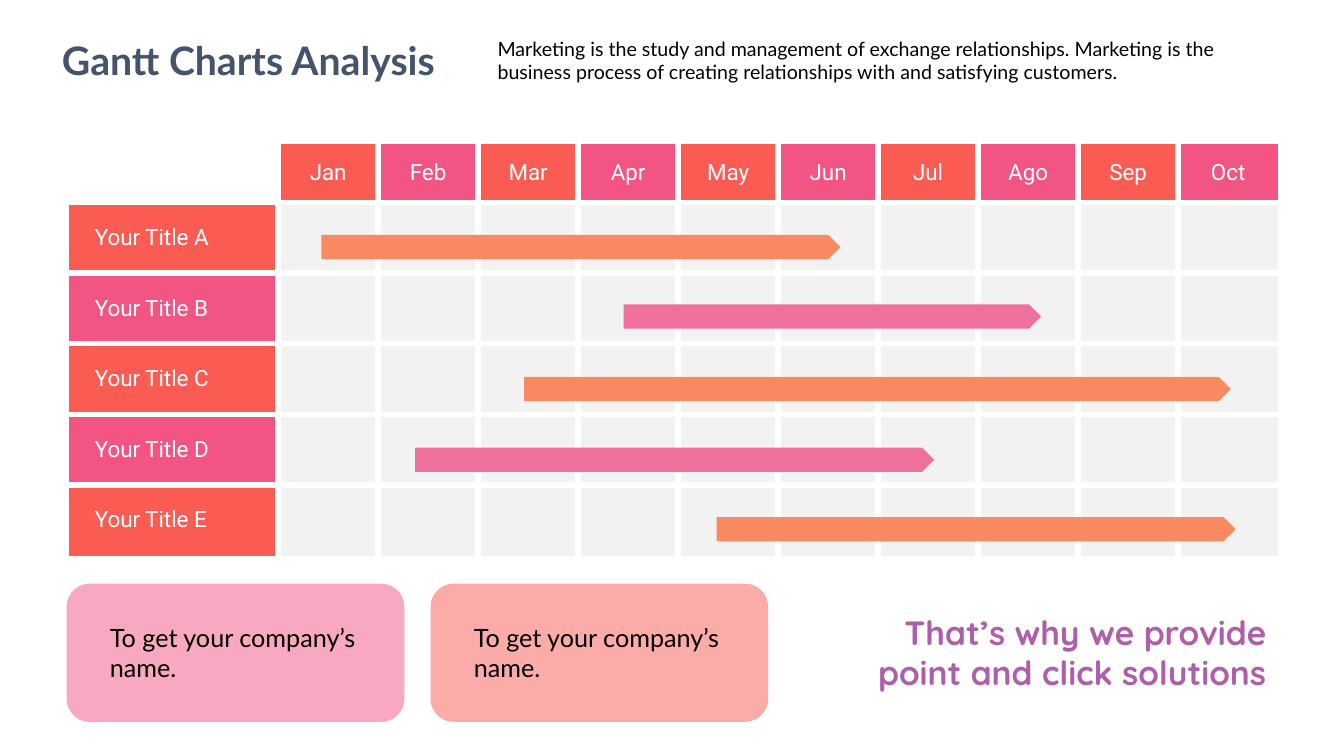
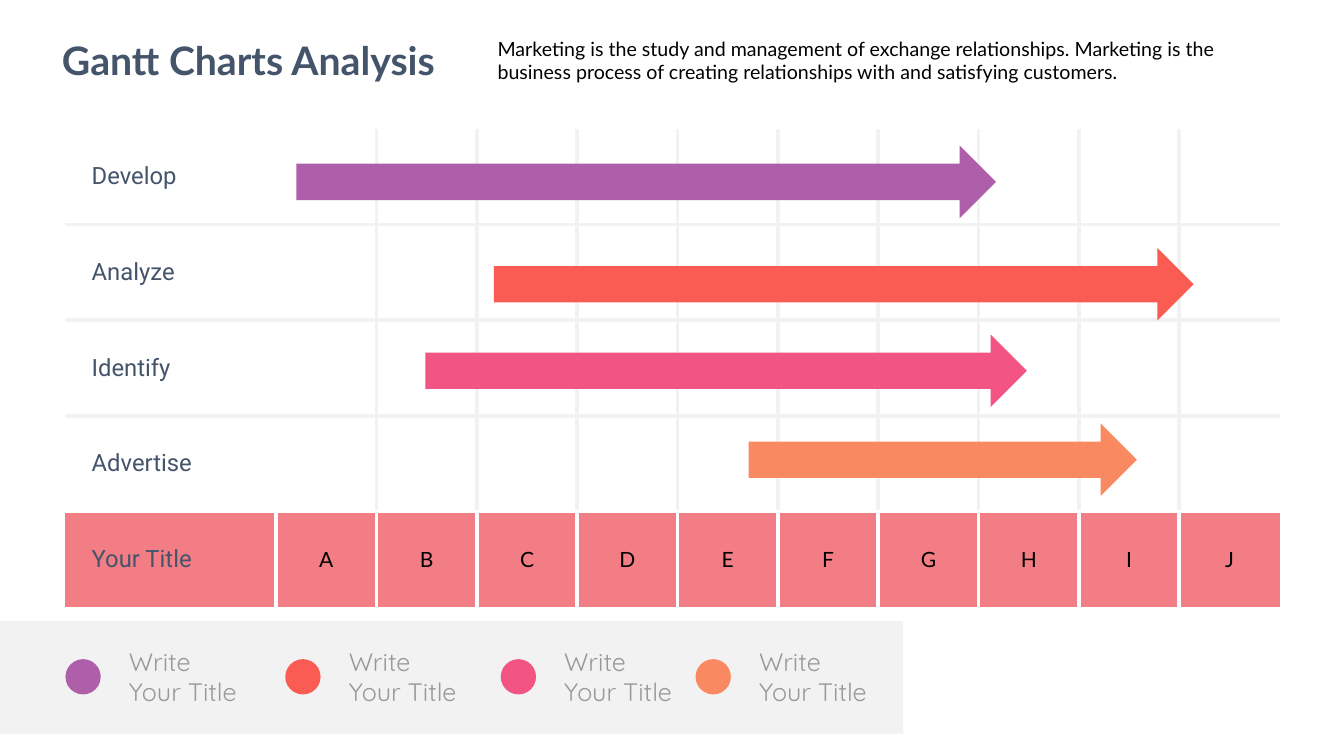
"""Build two Gantt chart slides that share one style."""
from lxml import etree
from pptx import Presentation
from pptx.dml.color import RGBColor
from pptx.enum.shapes import MSO_SHAPE
from pptx.enum.text import MSO_ANCHOR, PP_ALIGN
from pptx.oxml.ns import qn
from pptx.util import Cm, Pt

LEFT, CENTER, RIGHT = PP_ALIGN.LEFT, PP_ALIGN.CENTER, PP_ALIGN.RIGHT
MIDDLE = MSO_ANCHOR.MIDDLE
RECTANGLE, ROUNDED = MSO_SHAPE.RECTANGLE, MSO_SHAPE.ROUNDED_RECTANGLE
OVAL, PENTAGON, ARROW = MSO_SHAPE.OVAL, MSO_SHAPE.PENTAGON, MSO_SHAPE.RIGHT_ARROW

WHITE, BLACK, SLATE, PALE, GREY = "FFFFFF", "000000", "44546A", "F2F2F2", "999999"
RED, PINK, ORANGE, PURPLE = "FA5B52", "F25484", "F88960", "AF5FAA"
ROSE, SALMON = "EF709D", "F27D84"

TITLE = ("Lato", 28, SLATE, True)
INTRO = ("Lato", 14, BLACK, False)
CARD = ("Lato", 18, BLACK, False)
SLOGAN = ("Quicksand", 24, PURPLE, True)
LEGEND = ("Quicksand", 18, GREY, False)
MONTH = ("Roboto", 16, WHITE, False)
STAGE = ("Roboto", 17, SLATE, False)
LETTER = ("Lato", 15, BLACK, False)
NARROW, WIDE = (0.25, 0.13), (0.61, 0.3)


def rgb(color):
    return RGBColor.from_string(color)


class Deck:
    """Hold the shared style and the current slide."""

    def __init__(self):
        self.presentation = Presentation()
        self.presentation.slide_width = Cm(33.87)
        self.presentation.slide_height = Cm(19.05)
        self.slide = None

    def new_slide(self):
        self.slide = self.presentation.slides.add_slide(self.presentation.slide_layouts[6])

    def heading(self):
        self.text("Gantt Charts Analysis", TITLE, 0.99, 0.79, 10.54, 1.45,
                  align=CENTER, wrap=False)
        self.text("Marketing is the study and management of exchange relationships. "
                  "Marketing is the business process of creating relationships with "
                  "and satisfying customers.", INTRO, 12.29, 0.79, 19.86, 1.45)

    def add_text(self, paragraph, text, style, align=LEFT):
        font, size, color, bold = style
        paragraph.alignment = align
        run = paragraph.add_run()
        run.text = text
        run.font.name = font
        run.font.size = Pt(size)
        run.font.bold = bold
        run.font.color.rgb = rgb(color)

    def text(self, text, style, left, top, width, height,
             align=LEFT, insets=NARROW, wrap=True):
        box = self.slide.shapes.add_textbox(Cm(left), Cm(top), Cm(width), Cm(height))
        frame = box.text_frame
        frame.word_wrap = wrap
        frame.margin_left = frame.margin_right = Cm(insets[0])
        frame.margin_top = frame.margin_bottom = Cm(insets[1])
        self.add_text(frame.paragraphs[0], text, style, align)

    def shape(self, kind, color, left, top, width, height, opacity=100):
        shape = self.slide.shapes.add_shape(kind, Cm(left), Cm(top), Cm(width), Cm(height))
        shape.shadow.inherit = False
        shape.line.fill.background()
        shape.fill.solid()
        shape.fill.fore_color.rgb = rgb(color)
        if opacity < 100:
            solid = shape.element.spPr.find(qn("a:solidFill"))
            alpha = etree.SubElement(solid[0], qn("a:alpha"))
            alpha.set("val", str(opacity * 1000))

    def border(self, cell, side, color, width):
        line = etree.SubElement(cell._tc.get_or_add_tcPr(), qn(f"a:ln{side}"))
        if color is None:
            etree.SubElement(line, qn("a:noFill"))
            return
        line.set("w", str(Pt(width)))
        solid = etree.SubElement(line, qn("a:solidFill"))
        etree.SubElement(solid, qn("a:srgbClr")).set("val", color)

    def table(self, left, top, widths, heights, cells, line_color, line_width):
        frame = self.slide.shapes.add_table(
            len(heights), len(widths), Cm(left), Cm(top), Cm(sum(widths)), Cm(sum(heights)))
        table = frame.table
        table.first_row = table.horz_banding = False
        for column, width in zip(table.columns, widths):
            column.width = Cm(width)
        for row, height in zip(table.rows, heights):
            row.height = Cm(height)

        def edge_color(row, column, next_row, next_column):
            if not (0 <= next_row < len(heights) and 0 <= next_column < len(widths)):
                return None
            fills = {cells[row][column][2], cells[next_row][next_column][2]}
            beside_label = {column, next_column} == {0, 1}
            return line_color if fills == {WHITE} and not beside_label else WHITE

        for row, contents in enumerate(cells):
            for column, (text, style, fill) in enumerate(contents):
                cell = table.cell(row, column)
                cell.vertical_anchor = MIDDLE
                cell.margin_left = Cm(0.13 if column else 0.66)
                cell.margin_right = Cm(0.13)
                cell.margin_top = cell.margin_bottom = Cm(0.08)
                for side, down, across in (("L", 0, -1), ("R", 0, 1), ("T", -1, 0), ("B", 1, 0)):
                    color = edge_color(row, column, row + down, column + across)
                    self.border(cell, side, color, line_width)
                cell.fill.solid()
                cell.fill.fore_color.rgb = rgb(fill)
                if text:
                    self.add_text(cell.text_frame.paragraphs[0], text, style,
                                  CENTER if column else LEFT)


def month_slide(deck):
    deck.new_slide()
    cards = ((1.68, PINK), (10.85, RED))
    for left, color in cards:
        deck.shape(ROUNDED, color, left, 14.71, 8.51, 3.48, opacity=50)
    deck.heading()

    months = "Jan Feb Mar Apr May Jun Jul Ago Sep Oct".split()
    accents = (RED, PINK)
    cells = [[("", MONTH, WHITE)] + [
        (month, MONTH, accents[index % 2]) for index, month in enumerate(months)]]
    for index, letter in enumerate("ABCDE"):
        label = (f"Your Title {letter}", MONTH, accents[index % 2])
        cells.append([label] + [("", MONTH, PALE)] * len(months))
    deck.table(1.73, 3.63, [5.28] + [2.52] * 10, [1.47] + [1.78] * 5, cells, WHITE, 4.5)

    bars = ((8.1, 5.92, 13.08), (15.72, 7.67, 10.52), (13.21, 9.5, 17.81),
            (10.46, 11.28, 13.08), (18.06, 13.03, 13.08))
    for index, (left, top, width) in enumerate(bars):
        deck.shape(PENTAGON, (ORANGE, ROSE)[index % 2], left, top, width, 0.61)

    for left, _ in cards:
        deck.text("To get your company’s name.", CARD, left + 0.48, 15.37, 7.57, 2.16,
                  insets=WIDE)
    deck.text("That’s why we provide point and click solutions", SLOGAN,
              20.68, 15.29, 11.48, 2.31, align=RIGHT)


def stage_slide(deck):
    deck.new_slide()
    deck.shape(RECTANGLE, PALE, 0, 15.65, 22.76, 2.84)
    deck.heading()

    letters = "ABCDEFGHIJ"
    cells = [[(stage, STAGE, WHITE)] + [("", STAGE, WHITE)] * len(letters)
             for stage in ("Develop", "Analyze", "Identify", "Advertise")]
    cells.append([("Your Title", STAGE, SALMON)] + [
        (letter, LETTER, SALMON) for letter in letters])
    deck.table(1.65, 3.25, [5.31] + [2.53] * 10, [2.41] * 5, cells, PALE, 3)

    arrows = ((PURPLE, 7.47, 3.67, 17.63), (RED, 12.45, 6.25, 17.63),
              (PINK, 10.72, 8.43, 15.16), (ORANGE, 18.87, 10.67, 9.78))
    for color, left, top, width in arrows:
        deck.shape(ARROW, color, left, top, width, 1.83)

    for color, left in ((PURPLE, 1.65), (RED, 7.19), (PINK, 12.62), (ORANGE, 17.53)):
        deck.shape(OVAL, color, left, 16.61, 0.89, 0.89)
        deck.text("Write Your Title", LEGEND, left + 0.99, 15.98, 4.24, 2.16, insets=WIDE)


def main():
    deck = Deck()
    month_slide(deck)
    stage_slide(deck)
    deck.presentation.save("out.pptx")


if __name__ == "__main__":
    main()
